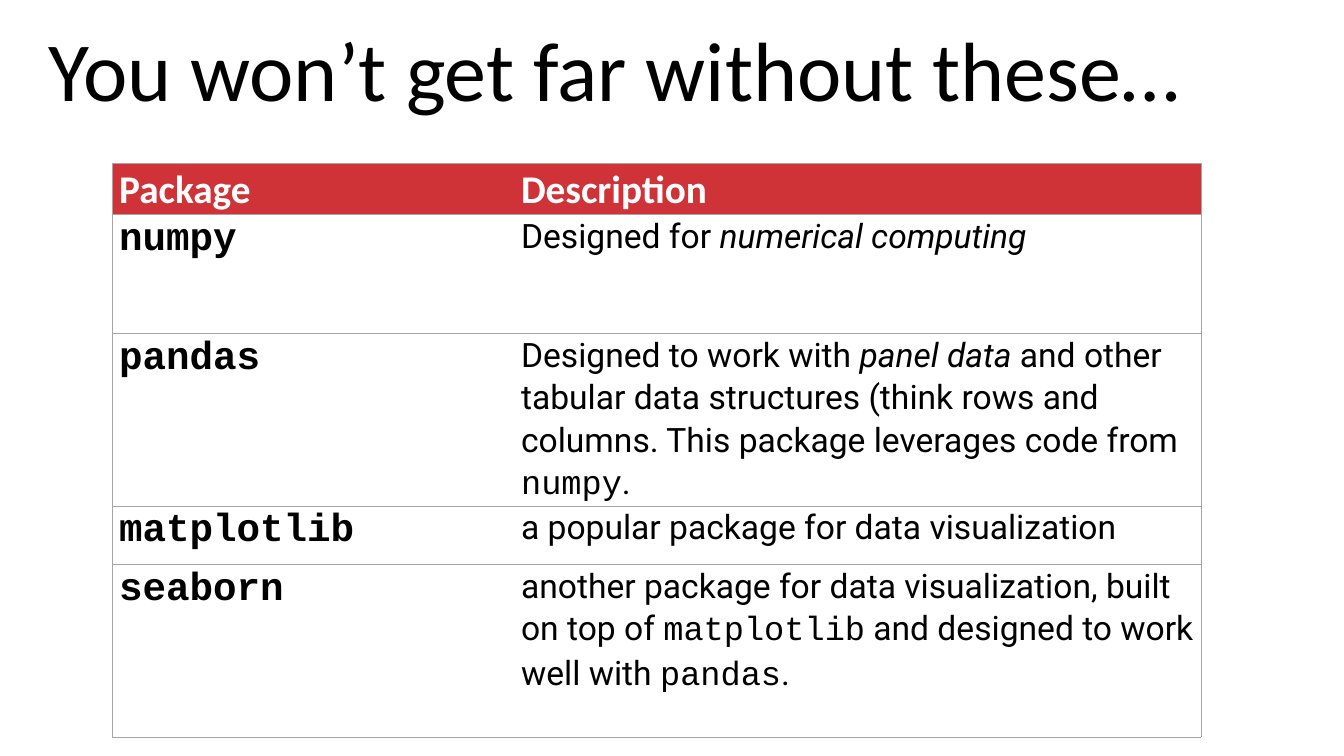
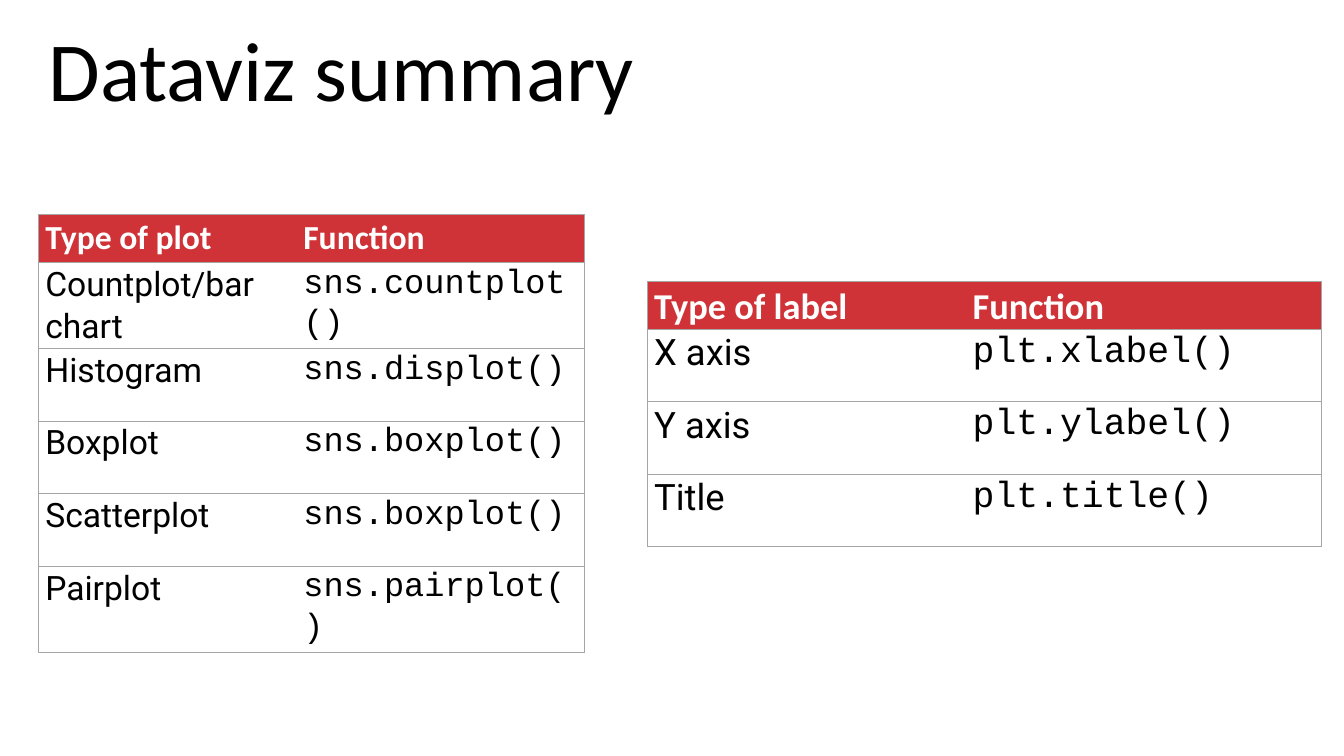
"""Build two slides on Python data packages and plotting functions."""
from lxml.etree import SubElement
from pptx import Presentation
from pptx.dml.color import RGBColor
from pptx.enum.text import MSO_ANCHOR as Anchor, MSO_AUTO_SIZE as AutoSize, PP_ALIGN as Align
from pptx.oxml.ns import qn
from pptx.util import Inches, Pt

HEADING, BODY, CODE = "Calibri", "Roboto", "Courier New"
RED, GREY, BLACK, WHITE = "CF3338", "A5A5A5", "000000", "FFFFFF"

deck = Presentation()
deck.slide_width, deck.slide_height = Inches(13.33), Inches(7.5)
COLUMN, ROW = deck.slide_width / 100, deck.slide_height / 100


def color(target, value):
    """Give a fill or a font a solid colour from a hex string."""
    if hasattr(target, "solid"):
        target.solid()
        target.fore_color.rgb = RGBColor.from_string(value)
    else:
        target.color.rgb = RGBColor.from_string(value)


def add_grid(page, left, top, widths, heights, header_size, styles, rows):
    """Add a ruled table with a red header and one text style per column."""
    frame = page.shapes.add_table(
        len(rows), len(widths), int(left * COLUMN), int(top * ROW),
        int(sum(widths) * COLUMN), int(sum(heights) * ROW))
    table = frame.table
    table.horz_banding = False
    for column, width in zip(table.columns, widths):
        column.width = int(width * COLUMN)
    for row, height in zip(table.rows, heights):
        row.height = int(height * ROW)

    for row_index, texts in enumerate(rows):
        header = row_index == 0
        for column_index, text in enumerate(texts):
            cell = table.cell(row_index, column_index)
            cell.margin_left = cell.margin_right = Inches(0.07)
            cell.margin_top = cell.margin_bottom = 0
            edges = {"lnL": column_index == 0, "lnR": column_index == len(widths) - 1,
                     "lnT": True, "lnB": True}
            for edge, ruled in edges.items():
                line = SubElement(cell._tc.get_or_add_tcPr(), qn(f"a:{edge}"), w=str(Pt(0.5)))
                paint = SubElement(line, qn("a:solidFill" if ruled else "a:noFill"))
                if ruled:
                    SubElement(paint, qn("a:srgbClr"), val=GREY)
            color(cell.fill, RED if header else WHITE)

            font, size, bold = (HEADING, header_size, True) if header else styles[column_index]
            para = cell.text_frame.paragraphs[0]
            para.line_spacing = 1.07
            para.font.size, para.font.bold = Pt(size), bold
            color(para.font, WHITE if header else BLACK)
            spans = [(text, font, False)] if isinstance(text, str) else text
            for words, span_font, italic in spans:
                span = para.add_run()
                span.text = words
                span.font.name, span.font.italic = span_font, italic


layout = deck.slide_layouts.get_by_name("Title Only")
title_box = layout.placeholders[0]
title_box.left, title_box.top = int(2.85 * COLUMN), int(1.6 * ROW)
title_box.width, title_box.height = int(90.7 * COLUMN), int(14.8 * ROW)

pages = []
for title in ("You won’t get far without these…", "Dataviz summary"):
    page = deck.slides.add_slide(layout)
    text_frame = page.shapes.title.text_frame
    text_frame.text = title
    text_frame.auto_size = AutoSize.NONE
    text_frame.vertical_anchor = Anchor.MIDDLE
    para = text_frame.paragraphs[0]
    para.alignment = Align.LEFT
    para.font.name, para.font.size = HEADING, Pt(60)
    color(para.font, BLACK)
    pages.append(page)
packages_page, summary_page = pages

add_grid(
    packages_page, 8.35, 21.6, (29.9, 51.1), (6.6, 15.75, 22.8, 7.75, 22.8), 28,
    ((CODE, 28, True), (BODY, 24, False)),
    (("Package", "Description"),
     ("numpy", (("Designed for ", BODY, False), ("numerical computing", BODY, True))),
     ("pandas", (("Designed to work with ", BODY, False),
                 ("panel data ", BODY, True),
                 ("and other tabular data structures (think rows and columns. "
                  "This package leverages code from ", BODY, False),
                 ("numpy", CODE, False), (".", BODY, False))),
     ("matplotlib", "a popular package for data visualization"),
     ("seaborn", (("another package for data visualization, built on top of ", BODY, False),
                  ("matplotlib", CODE, False),
                  (" and designed to work well with ", BODY, False),
                  ("pandas", CODE, False), (".", BODY, False)))))

add_grid(
    summary_page, 2.85, 28.4, (19.2, 21.45), (6.3, 11.4, 9.6, 9.6, 9.6, 11.4), 24,
    ((BODY, 24, False), (CODE, 24, False)),
    (("Type of plot", "Function"),
     ("Countplot/bar chart", "sns.countplot()"),
     ("Histogram", "sns.displot()"),
     ("Boxplot", "sns.boxplot()"),
     ("Scatterplot", "sns.boxplot()"),
     ("Pairplot", "sns.pairplot()")))

add_grid(
    summary_page, 48.15, 37.2, (23.7, 26.5), (6.2, 9.6, 9.6, 9.6), 26,
    ((BODY, 26, False), (CODE, 26, False)),
    (("Type of label", "Function"),
     ("X axis", "plt.xlabel()"),
     ("Y axis", "plt.ylabel()"),
     ("Title", "plt.title()")))

deck.save("out.pptx")
